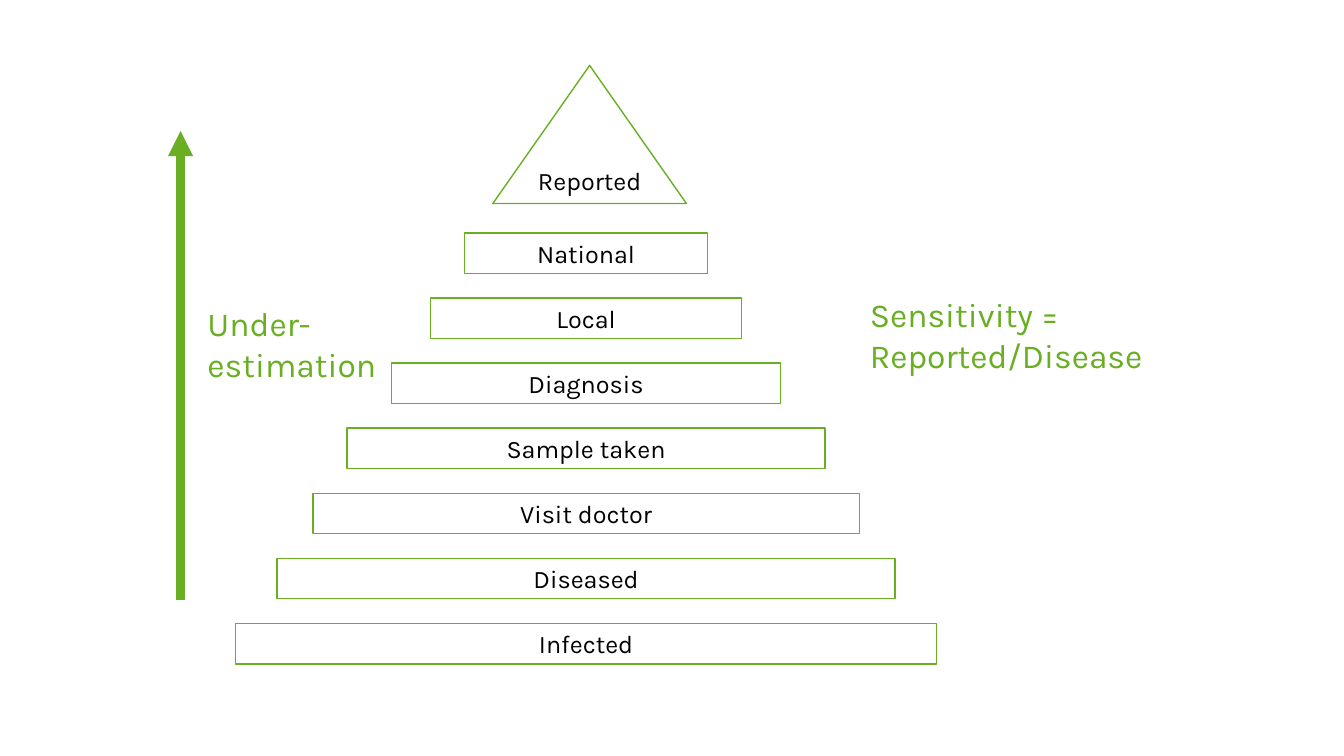
"""Build the surveillance pyramid slide, from infected to reported cases."""
from lxml.etree import SubElement
from pptx import Presentation
from pptx.dml.color import RGBColor
from pptx.enum.shapes import MSO_CONNECTOR, MSO_SHAPE
from pptx.enum.text import MSO_ANCHOR, PP_ALIGN
from pptx.oxml.ns import qn
from pptx.util import Cm, Pt

GREEN = RGBColor(0x69, 0xAE, 0x23)
BLACK = RGBColor(0, 0, 0)
WHITE = RGBColor(255, 255, 255)
FONT = "Karla"

LEVELS = [
    ("National", 6.12),
    ("Local", 7.85),
    ("Diagnosis", 9.8),
    ("Sample taken", 12.04),
    ("Visit doctor", 13.77),
    ("Diseased", 15.57),
    ("Infected", 17.68),
]
NOTES = [
    ("Under- estimation", 4.98, 7.52, 5.41),
    ("Sensitivity = Reported/Disease", 21.67, 7.29, 7.85),
]
CENTER, FIRST_TOP, PITCH, BAR_HEIGHT = 14.77, 5.87, 1.64, 1.02
PEAK_CENTER, PEAK_TOP, PEAK_WIDTH, PEAK_HEIGHT = 14.86, 1.65, 4.88, 3.48
LABEL_TOP, LABEL_WIDTH = 4.04, 3.23
ARROW_X, ARROW_BOTTOM, ARROW_TOP = 4.55, 15.11, 3.3
NOTE_HEIGHT = 2.31


def write(shape, text, size, color, alignment):
    frame = shape.text_frame
    frame.text = text
    frame.word_wrap = True
    paragraph = frame.paragraphs[0]
    paragraph.alignment = alignment
    font = paragraph.runs[0].font
    font.name, font.size, font.color.rgb = FONT, Pt(size), color


def add_block(slide, kind, center, top, width, height, text="", outlined=True):
    shape = slide.shapes.add_shape(
        kind, Cm(center - width / 2), Cm(top), Cm(width), Cm(height))
    shape.shadow.inherit = False
    shape.fill.solid()
    shape.fill.fore_color.rgb = WHITE
    if outlined:
        shape.line.color.rgb = GREEN
        shape.line.width = Pt(1)
    else:
        shape.line.fill.background()
    if text:
        write(shape, text, 18, BLACK, PP_ALIGN.CENTER)
        shape.text_frame.vertical_anchor = MSO_ANCHOR.MIDDLE


def add_arrow(slide):
    arrow = slide.shapes.add_connector(
        MSO_CONNECTOR.STRAIGHT,
        Cm(ARROW_X), Cm(ARROW_BOTTOM), Cm(ARROW_X), Cm(ARROW_TOP))
    arrow.line.color.rgb = GREEN
    arrow.line.width = Pt(6)
    SubElement(arrow.line._get_or_add_ln(), qn("a:tailEnd"), type="triangle")
    SubElement(arrow._element.spPr, qn("a:effectLst"))


def main():
    presentation = Presentation()
    presentation.slide_width, presentation.slide_height = Cm(33.87), Cm(19.05)
    slide = presentation.slides.add_slide(presentation.slide_layouts[6])

    add_block(slide, MSO_SHAPE.ISOSCELES_TRIANGLE, PEAK_CENTER, PEAK_TOP,
              PEAK_WIDTH, PEAK_HEIGHT)
    add_block(slide, MSO_SHAPE.RECTANGLE, PEAK_CENTER, LABEL_TOP,
              LABEL_WIDTH, BAR_HEIGHT, "Reported", outlined=False)
    for row, (name, width) in enumerate(LEVELS):
        add_block(slide, MSO_SHAPE.RECTANGLE, CENTER, FIRST_TOP + row * PITCH,
                  width, BAR_HEIGHT, name)

    add_arrow(slide)
    for text, left, top, width in NOTES:
        note = slide.shapes.add_textbox(
            Cm(left), Cm(top), Cm(width), Cm(NOTE_HEIGHT))
        write(note, text, 24, GREEN, PP_ALIGN.LEFT)

    presentation.save("out.pptx")


if __name__ == "__main__":
    main()
